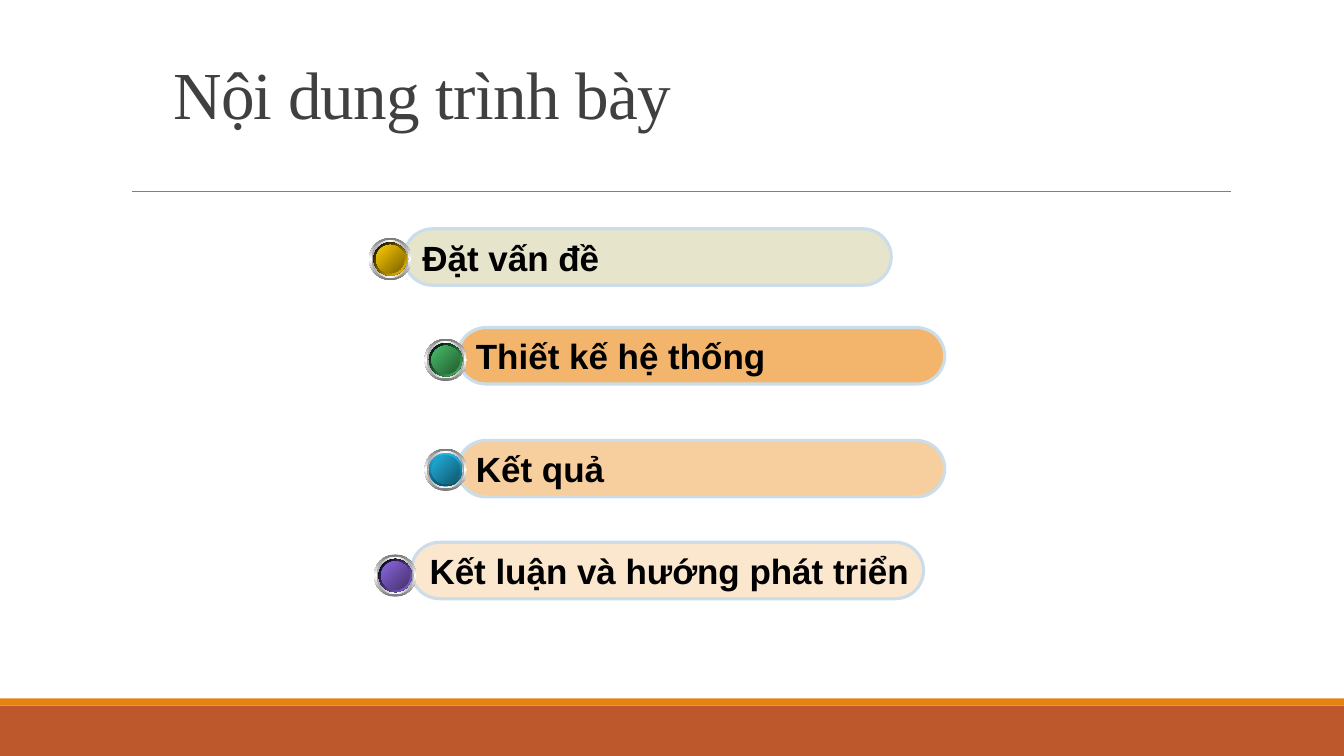
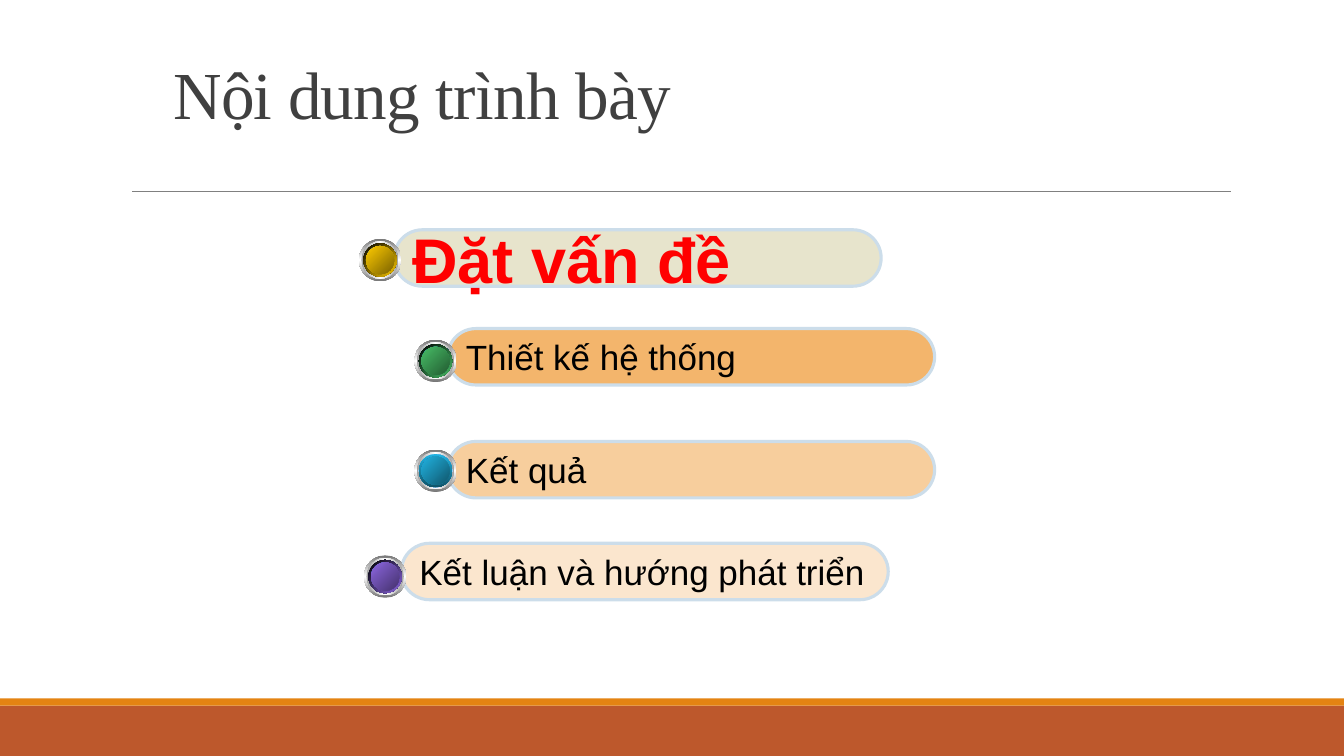
from collections import namedtuple
from dataclasses import dataclass

from pptx import Presentation
from pptx import util as u
from pptx.dml.color import RGBColor
from pptx.enum import shapes, text
from pptx.oxml import parse_xml
from pptx.oxml.ns import nsdecls, qn


@dataclass(frozen=True)
class Theme:
    """Colours, fonts and type sizes shared by the slides."""
    band: str = "BD582C"
    stripe: str = "E48312"
    rule: str = "808080"
    title: str = "404040"
    outline: str = "CCDDEA"
    ink: str = "000000"
    accent: str = "FF0000"
    title_font: str = "Times New Roman"
    body_font: str = "Arial"
    title_size: int = 48
    item_size: int = 25
    current_size: int = 45


Box = namedtuple("Box", "x y w h")
Item = namedtuple("Item", "label fill dx dy ball_dx ball_dy rim ball rim_angle")

T = Theme()
W, H = 13.33, 7.5
PILL_H, BALL = 0.56, 0.42
BLUE = ("1F74AE", "2998E3", "1F74AE")
ITEMS = (
    Item("Đặt vấn đề", "E7E4CC", 0, 0, -0.35, 0.09,
         ("000000", "FFCC00"), ("FFCC00", "7C6300"), 45),
    Item("Thiết kế hệ thống", "F3B56C", 0.53, 0.98, -0.33, 0.11,
         ("000000", "48BE67"), ("48BE67", "235C32"), 45),
    Item("Kết quả", "F7CE9D", 0.53, 2.1, -0.33, 0.08,
         ("21B3E1", "0F5368"), ("21B3E1", "10576D"), 90),
    Item("Kết luận và hướng phát triển", "FBE6CE", 0.07, 3.11, -0.37, 0.12,
         ("000000", "8D67E1"), ("8D67E1", "45326D"), 45),
)


def rgb(code):
    """Turn a hex code into a colour."""
    return RGBColor.from_string(code)


def inches(box):
    """Give the four lengths of a box in inches."""
    return [u.Inches(v) for v in box]


def add_shape(parent, kind, box, fill=None):
    """Add a flat shape without line or shadow."""
    sp = parent.shapes.add_shape(kind, *inches(box))
    sp.shadow.inherit = False
    sp.line.fill.background()
    if fill:
        sp.fill.solid()
        sp.fill.fore_color.rgb = rgb(fill)
    return sp


def set_gradient(sp, colours, angle):
    """Fill a shape with evenly spaced stops along a clockwise angle."""
    sp.fill.gradient()
    step = 100000 // (len(colours) - 1)
    stops = "".join(f'<a:gs pos="{i * step}"><a:srgbClr val="{c}"/></a:gs>'
                    for i, c in enumerate(colours))
    spPr = sp._element.spPr
    spPr.replace(spPr.find(qn("a:gradFill")), parse_xml(
        f'<a:gradFill {nsdecls("a")} rotWithShape="1"><a:gsLst>{stops}</a:gsLst>'
        f'<a:lin ang="{angle * 60000}" scaled="1"/></a:gradFill>'))


def write(tf, label, **fmt):
    """Write one left-aligned run in the given format."""
    p = tf.paragraphs[0]
    p.alignment = text.PP_ALIGN.LEFT
    r = p.add_run()
    r.text = label
    r.font.color.rgb = rgb(fmt.pop("color"))
    for name, value in fmt.items():
        setattr(r.font, name, value)
    return p, r


def add_frame(slide):
    """Draw the footer bands and the rule under the title."""
    add_shape(slide, shapes.MSO_SHAPE.RECTANGLE, Box(0, 7, W, 0.5), T.band)
    add_shape(slide, shapes.MSO_SHAPE.RECTANGLE, Box(0, 6.93, W, 0.07), T.stripe)
    ends = inches((1.31, 1.9, 12.21, 1.9))
    rule = slide.shapes.add_connector(shapes.MSO_CONNECTOR.STRAIGHT, *ends)
    rule.line.color.rgb = rgb(T.rule)
    rule.line.width = u.Pt(0.5)
    rule._element.spPr.append(parse_xml(f'<a:effectLst {nsdecls("a")}/>'))


def add_title(slide, label, box):
    """Write the slide title at the bottom of its box."""
    tf = slide.shapes.add_textbox(*inches(box)).text_frame
    tf.word_wrap = True
    tf.vertical_anchor = text.MSO_ANCHOR.BOTTOM
    p, r = write(tf, label, color=T.title, name=T.title_font,
                 size=u.Pt(T.title_size))
    p.line_spacing = 0.85
    r._r.get_or_add_rPr().set("spc", "-50")


def add_ball(slide, x, y, item):
    """Draw a glossy ball as a group of concentric ellipses."""
    layers = (
        (BALL, ("767676", "FFFFFF", "767676"), 90),
        (0.37, ("A2A2A2", "FFFFFF", "A2A2A2"), 0),
        (0.33, ("FFFFFF", "2998E3", "FFFFFF"), 45),
        (0.33, item.rim, item.rim_angle),
        (0.28, BLUE, 315),
        (0.28, item.ball, 45),
    )
    group = slide.shapes.add_group_shape()
    for size, colours, angle in layers:
        gap = (BALL - size) / 2
        sp = add_shape(group, shapes.MSO_SHAPE.OVAL,
                       Box(x + gap, y + gap, size, size))
        set_gradient(sp, colours, angle)


def add_item(slide, item, box, **fmt):
    """Draw one agenda pill with its ball."""
    sp = add_shape(slide, shapes.MSO_SHAPE.ROUNDED_RECTANGLE, box, item.fill)
    sp.adjustments[0] = 0.5
    sp.line.color.rgb = rgb(T.outline)
    sp.line.width = u.Pt(2.25)
    tf = sp.text_frame
    tf.word_wrap = False
    tf.vertical_anchor = text.MSO_ANCHOR.MIDDLE
    write(tf, item.label, name=T.body_font, **fmt)
    add_ball(slide, box.x + item.ball_dx, box.y + item.ball_dy, item)


def add_agenda(prs, x, y, last_width=4.83, current=None):
    """Build an agenda slide, with one item marked as current or all bold."""
    slide = prs.slides.add_slide(prs.slide_layouts[6])
    add_frame(slide)
    add_title(slide, "Nội dung trình bày", Box(1.62, 0.38, 10.96, 0.99))
    for i, item in enumerate(ITEMS):
        marked = i == current
        width = last_width if item is ITEMS[-1] else 4.83
        add_item(slide, item, Box(x + item.dx, y + item.dy, width, PILL_H),
                 color=T.accent if marked else T.ink,
                 size=u.Pt(T.current_size if marked else T.item_size),
                 bold=marked or current is None)


def main():
    """Build and save the presentation."""
    prs = Presentation()
    prs.slide_width, prs.slide_height = u.Inches(W), u.Inches(H)
    add_agenda(prs, 4.01, 2.27, last_width=5.08)
    add_agenda(prs, 3.91, 2.28, current=0)
    prs.save("out.pptx")


if __name__ == "__main__":
    main()
